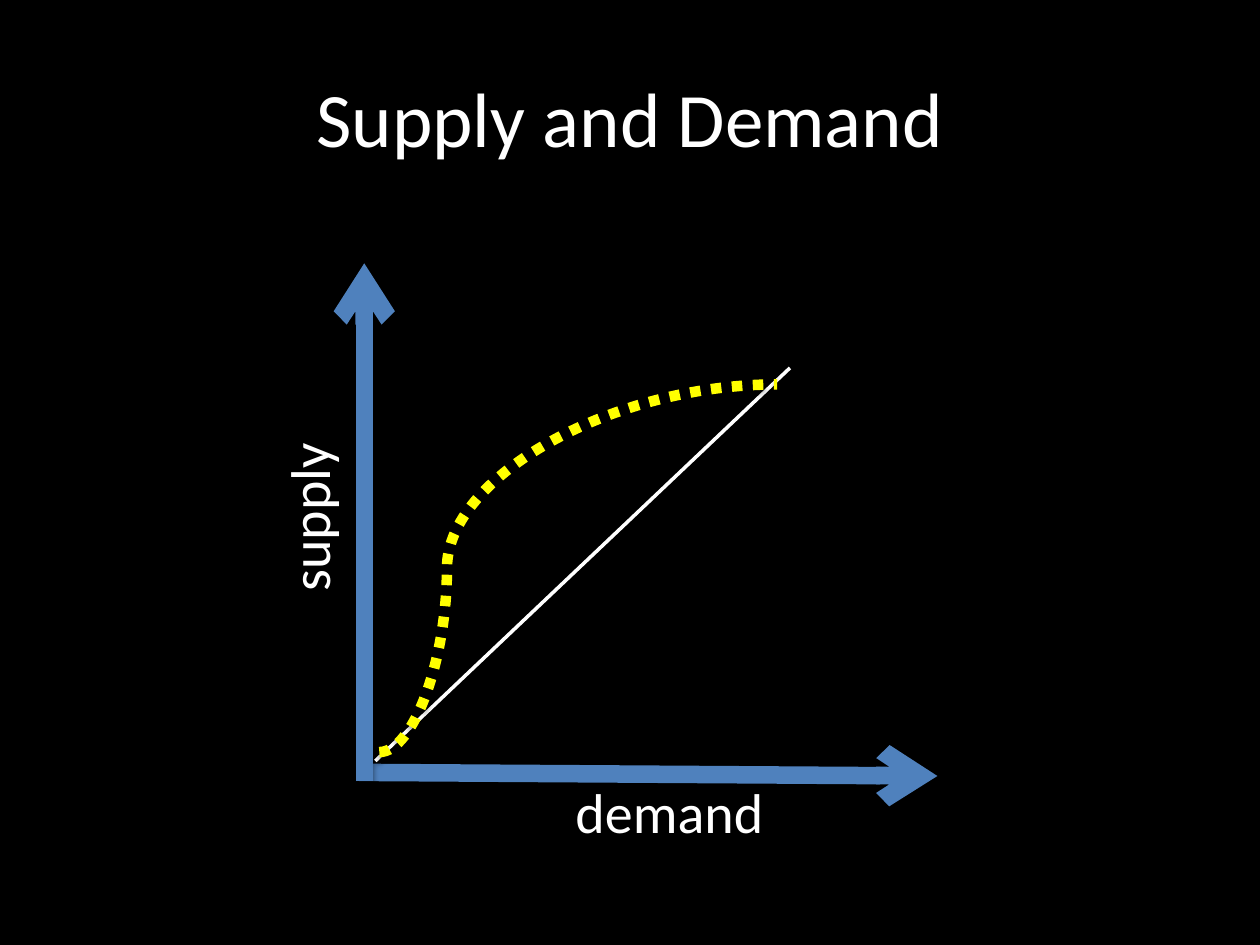
from lxml.etree import SubElement
from pptx import Presentation
from pptx.dml.color import RGBColor
from pptx.enum.dml import MSO_LINE
from pptx.enum.shapes import MSO_CONNECTOR
from pptx.enum.text import MSO_ANCHOR, MSO_AUTO_SIZE, PP_ALIGN
from pptx.oxml.ns import qn
from pptx.util import Inches, Pt

BLACK = RGBColor(0x00, 0x00, 0x00)
WHITE = RGBColor(0xFF, 0xFF, 0xFF)
BLUE = RGBColor(0x4F, 0x81, 0xBD)
YELLOW = RGBColor(0xFF, 0xFF, 0x00)
FONT = "Calibri"
GRID = 10  # columns and rows in the plot box


def write(frame, text, size=32, color=WHITE, align=PP_ALIGN.LEFT):
    para = frame.paragraphs[0]
    para.alignment = align
    run = para.add_run()
    run.text = text
    run.font.name = FONT
    run.font.size = Pt(size)
    run.font.color.rgb = color


def shade(line):
    """Give a connector a soft shadow that falls straight down."""
    effects = SubElement(line._element.spPr, qn("a:effectLst"))
    outer = SubElement(effects, qn("a:outerShdw"), blurRad=str(Pt(3.1)),
                       dist=str(Pt(1.6)), dir="5400000", rotWithShape="0")
    tint = SubElement(outer, qn("a:srgbClr"), val=str(BLACK))
    SubElement(tint, qn("a:alpha"), val="38000")


def stroke(slide, start, end, color, width, kind=MSO_CONNECTOR.STRAIGHT,
           dash=None, arrow=False):
    line = slide.shapes.add_connector(kind, *start, *end)
    line.line.color.rgb = color
    line.line.width = Pt(width)
    if dash:
        line.line.dash_style = dash
    if arrow:
        SubElement(line.line._get_or_add_ln(), qn("a:tailEnd"), type="arrow")
    shade(line)
    return line


def bend(curve, share):
    """Set where across its width a curved connector turns."""
    geom = curve._element.spPr.find(qn("a:prstGeom"))
    guides = geom.find(qn("a:avLst"))
    if guides is None:
        guides = SubElement(geom, qn("a:avLst"))
    SubElement(guides, qn("a:gd"), name="adj1",
               fmla=f"val {round(share * 100000)}")


def label(slide, text, center, width, height, turn=0):
    x, y = center
    box = slide.shapes.add_textbox(x - width // 2, y - height // 2,
                                   width, height)
    box.rotation = turn
    box.text_frame.word_wrap = False
    box.text_frame.auto_size = MSO_AUTO_SIZE.SHAPE_TO_FIT_TEXT
    write(box.text_frame, text)


def head(slide, left, top, width, height):
    title = slide.shapes.title
    title.left, title.top = left, top
    title.width, title.height = width, height
    title.text_frame.vertical_anchor = MSO_ANCHOR.MIDDLE
    write(title.text_frame, "Supply and Demand", size=44,
          align=PP_ALIGN.CENTER)


def plot(slide, left, top, width, height):
    def at(col, row):
        return (round(left + width * col / GRID),
                round(top + height * row / GRID))

    # Axes
    stroke(slide, at(0, 9.83), at(10, 9.9), BLUE, 10, arrow=True)
    stroke(slide, at(0.09, 10), at(0.09, 0), BLUE, 10, arrow=True)
    tall = Inches(0.64)
    label(slide, "supply", at(-0.88, 4.89), Inches(1.39), tall, turn=270)
    label(slide, "demand", at(5.39, 10.58), Inches(1.71), tall)

    # Trends
    stroke(slide, at(0.28, 9.61), at(7.45, 2.02), WHITE, 2)
    curve = stroke(slide, at(0.35, 9.44), at(7.23, 2.34), YELLOW, 6,
                   kind=MSO_CONNECTOR.CURVE, dash=MSO_LINE.ROUND_DOT)
    bend(curve, 0.17)


def main():
    deck = Presentation()
    deck.slide_width, deck.slide_height = Inches(10), Inches(7.5)
    slide = deck.slides.add_slide(deck.slide_layouts.get_by_name("Title Only"))
    slide.background.fill.solid()
    slide.background.fill.fore_color.rgb = BLACK
    head(slide, Inches(0.5), Inches(0.3), Inches(9), Inches(1.25))
    plot(slide, Inches(2.85), Inches(2.09), Inches(4.59), Inches(4.11))
    deck.save("out.pptx")


if __name__ == "__main__":
    main()
